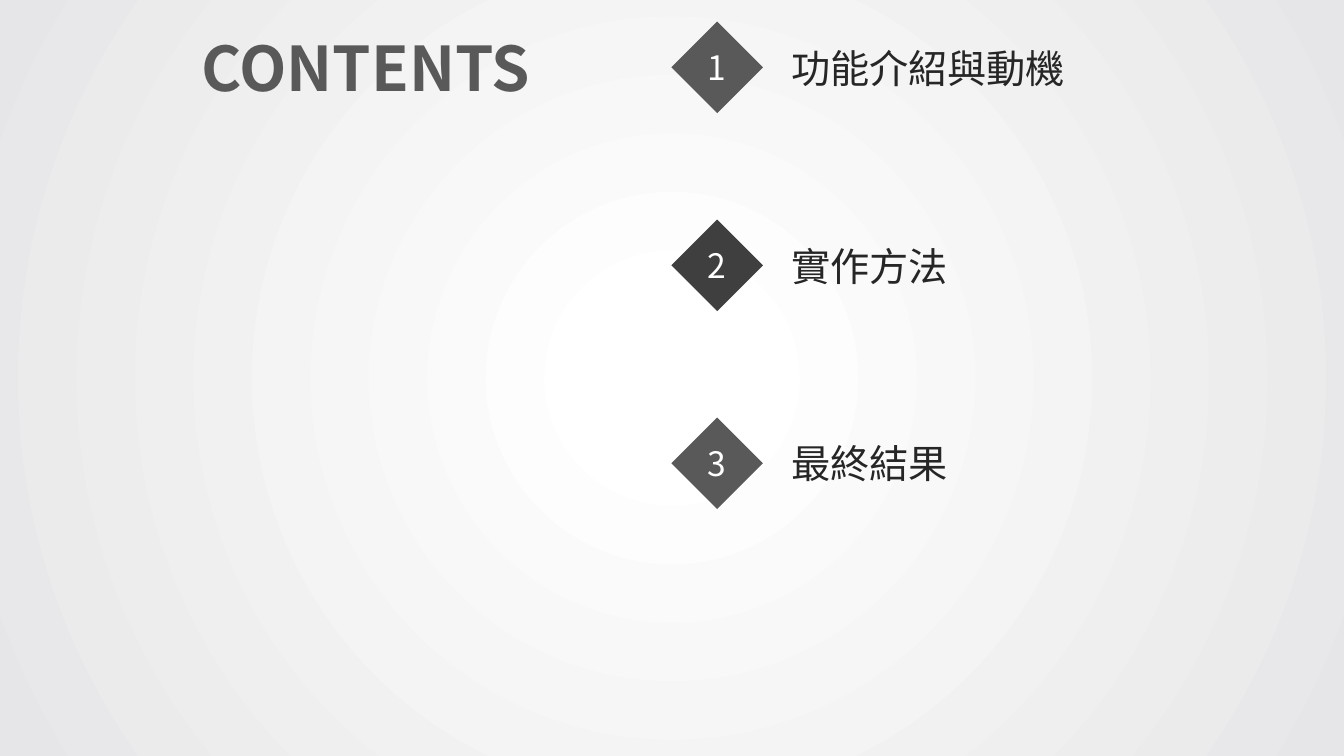
from dataclasses import dataclass

import pptx
import pptx.dml.color
import pptx.enum.shapes
import pptx.enum.text
import pptx.oxml
import pptx.oxml.ns
import pptx.util
from lxml import etree

Pt = pptx.util.Pt
qn = pptx.oxml.ns.qn


@dataclass(frozen=True)
class Theme:
    font: str = "Noto Sans CJK SC"
    grey: str = "595959"
    dark: str = "3F3F3F"
    ink: str = "262626"
    white: str = "FFFFFF"
    edge: str = "E6E6E8"
    title_size: int = 44
    label_size: int = 28
    number_size: int = 24


THEME = Theme()
ITEMS = ["功能介紹與動機", "實作方法", "最終結果"]
LABEL_WIDTHS = [213, 189, 213]
ITEM_LEFT, ITEM_TOP, ITEM_PITCH = 479.6, 15.4, 141.4
DIAMOND_SIZE = 65.4
LABEL_OFFSET, LABEL_DROP, LABEL_HEIGHT = 78.4, 12.4, 41.2


def rgb(color):
    return pptx.dml.color.RGBColor.from_string(color)


def write(shape, text, size, color, bold=False):
    """Set the text of a shape, for Latin and East Asian letters alike."""
    paragraph = shape.text_frame.paragraphs[0]
    paragraph.text = text
    font = paragraph.font
    font.name = THEME.font
    font.size = Pt(size)
    font.bold = bold
    font.color.rgb = rgb(color)
    properties = paragraph._p.pPr.find(qn("a:defRPr"))
    east_asian = etree.Element(qn("a:ea"), typeface=THEME.font)
    properties.find(qn("a:latin")).addnext(east_asian)
    return paragraph


def add_text(shapes, box, text, size, color, bold=False):
    textbox = shapes.add_textbox(*map(Pt, box))
    textbox.text_frame.word_wrap = True
    textbox.text_frame.auto_size = pptx.enum.text.MSO_AUTO_SIZE.SHAPE_TO_FIT_TEXT
    write(textbox, text, size, color, bold)


def add_item(slide, left, top, number, label, label_width):
    """Group a numbered diamond with the label to its right."""
    group = slide.shapes.add_group_shape()
    diamond = group.shapes.add_shape(
        pptx.enum.shapes.MSO_SHAPE.DIAMOND,
        Pt(left), Pt(top), Pt(DIAMOND_SIZE), Pt(DIAMOND_SIZE))
    diamond.shadow.inherit = False
    diamond.fill.solid()
    diamond.fill.fore_color.rgb = rgb(THEME.grey if number % 2 else THEME.dark)
    diamond.line.fill.background()
    diamond.text_frame.vertical_anchor = pptx.enum.text.MSO_ANCHOR.MIDDLE
    paragraph = write(diamond, str(number), THEME.number_size, THEME.white)
    paragraph.alignment = pptx.enum.text.PP_ALIGN.CENTER
    label_box = (left + LABEL_OFFSET, top + LABEL_DROP, label_width, LABEL_HEIGHT)
    add_text(group.shapes, label_box, label, THEME.label_size, THEME.ink)


def paint_background(slide):
    """Fill the slide with a circular gradient from its centre."""
    fill = slide.background.fill
    fill.gradient()
    stops = [(0.09, THEME.white), (1, THEME.edge)]
    for stop, (position, color) in zip(fill.gradient_stops, stops):
        stop.position = position
        stop.color.rgb = rgb(color)
    linear = next(slide.element.iter(qn("a:lin")))
    circle = etree.Element(qn("a:path"), {"path": "circle"})
    etree.SubElement(circle, qn("a:fillToRect"), dict.fromkeys("ltrb", "50000"))
    linear.getparent().replace(linear, circle)


def build_contents(presentation):
    slide = presentation.slides.add_slide(presentation.slide_layouts[6])
    paint_background(slide)
    add_text(slide.shapes, (136.8, 18, 264.2, 60.6), "CONTENTS",
             THEME.title_size, THEME.grey, bold=True)
    for index, (label, width) in enumerate(zip(ITEMS, LABEL_WIDTHS)):
        add_item(slide, ITEM_LEFT, ITEM_TOP + index * ITEM_PITCH,
                 index + 1, label, width)


def main():
    presentation = pptx.Presentation()
    presentation.slide_width = Pt(960)
    presentation.slide_height = Pt(540)
    build_contents(presentation)
    presentation.save("out.pptx")


if __name__ == "__main__":
    main()
